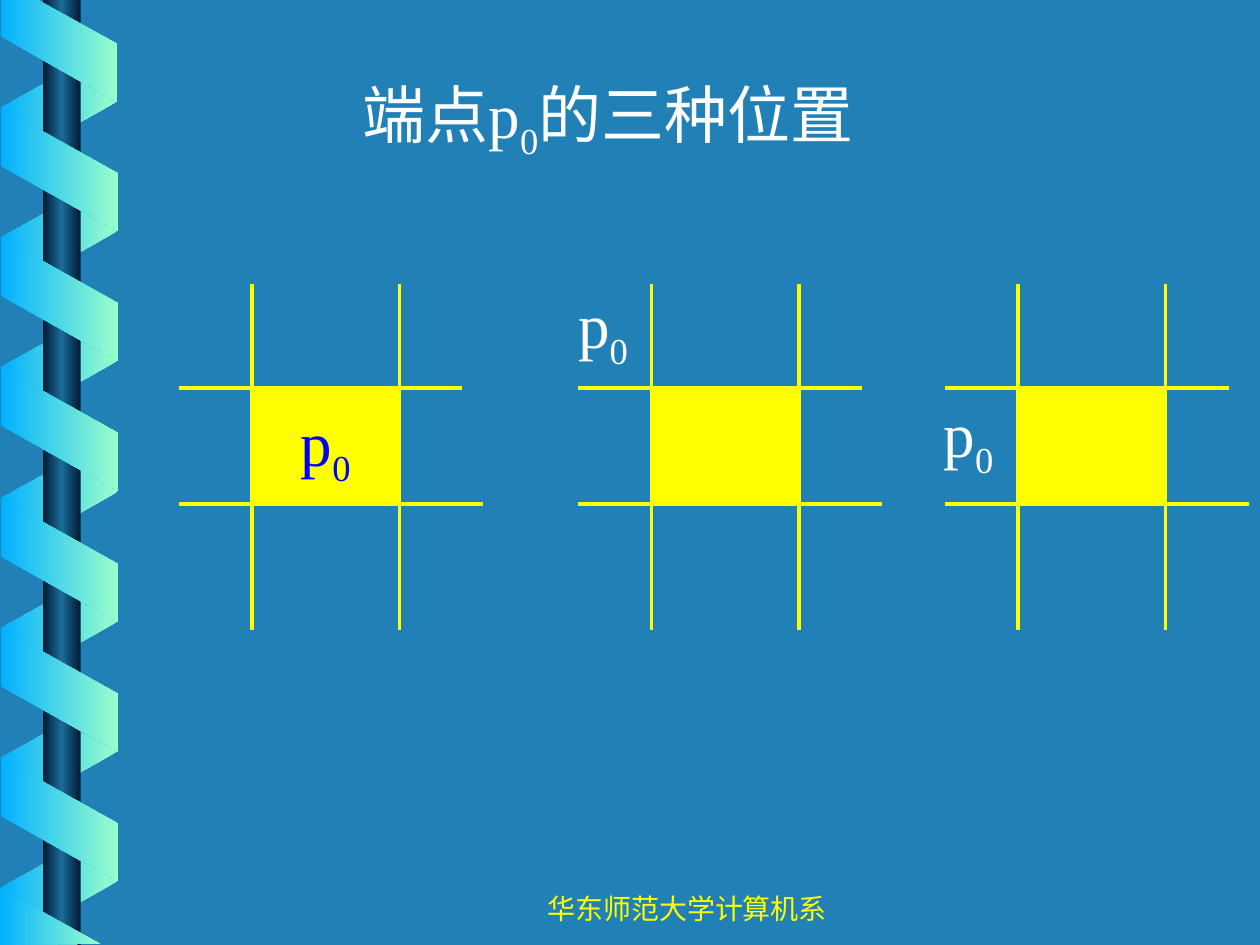
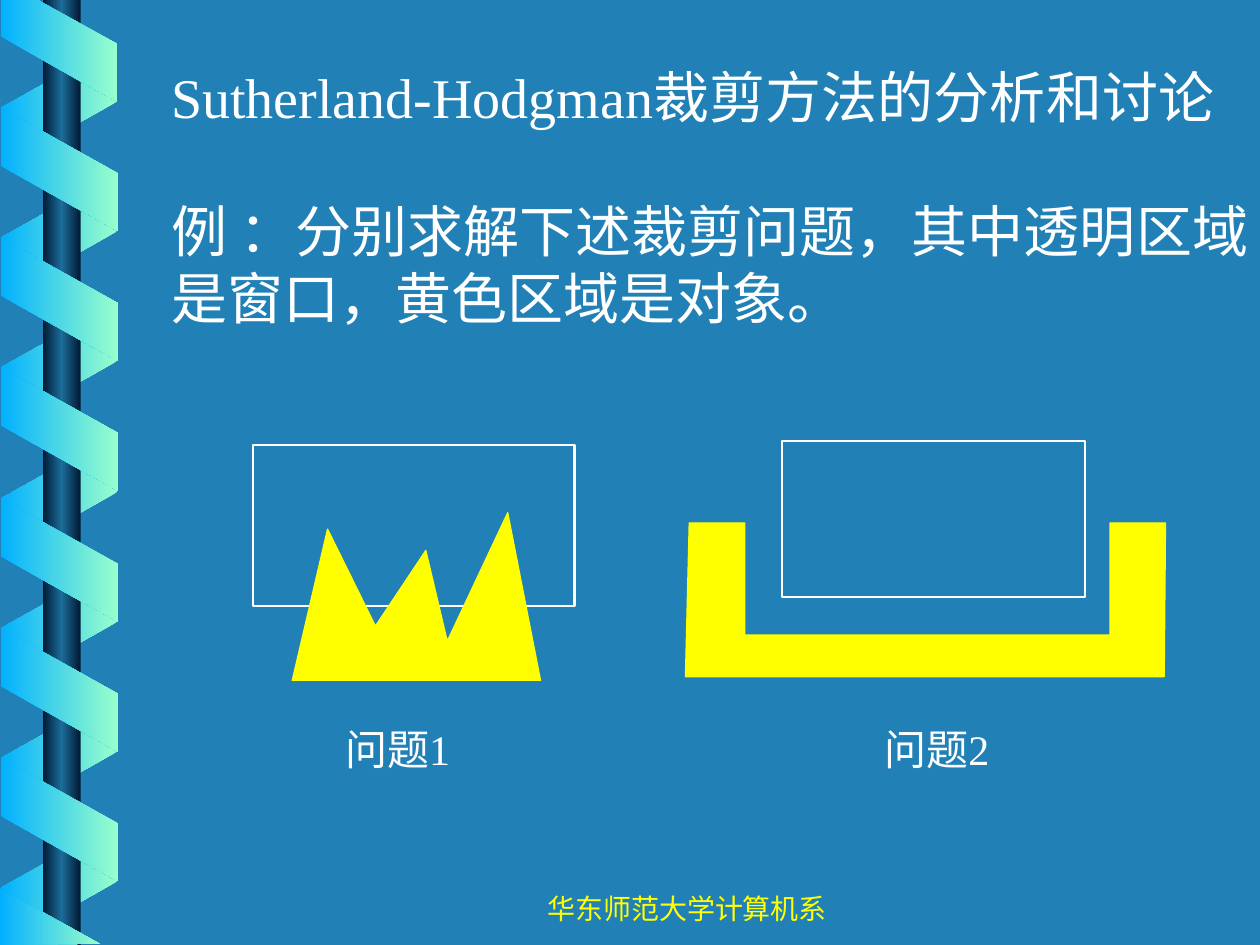
from lxml.etree import SubElement
from pptx import Presentation
from pptx.dml.color import RGBColor
from pptx.enum.shapes import MSO_CONNECTOR, MSO_SHAPE
from pptx.enum.text import MSO_ANCHOR, MSO_AUTO_SIZE, PP_ALIGN
from pptx.oxml.ns import qn
from pptx.util import Emu, Pt

PX = 9144  # EMU per px, 100 px to the inch
COLOURS = {
    "background": "2181B7",
    "white": "FFFFFF",
    "yellow": "FFFF00",
    "blue": "0000FF",
    "ribbon_blue": "01B0FF",
    "ribbon_mint": "99FFCC",
    "pole_dark": "001932",
    "pole_light": "1C6D9A",
}
LATIN = "Times New Roman"
CJK = "Noto Sans CJK SC"
SUBSCRIPT = "-25000"
P0 = ["p", "_0"]  # a leading underscore marks a subscript
RIBBON_PITCH = 103.2


def px(*lengths):
    return [Emu(round(length * PX)) for length in lengths]


def rgb(name):
    return RGBColor.from_string(COLOURS[name])


# Fills and outlines
def paint(shape, fill=None, line=None, width=0.75):
    shape.shadow.inherit = False
    if fill:
        shape.fill.solid()
        shape.fill.fore_color.rgb = rgb(fill)
    else:
        shape.fill.background()
    if line:
        shape.line.color.rgb = rgb(line)
        shape.line.width = Pt(width)
    else:
        shape.line.fill.background()


def paint_gradient(shape, *names):
    """Spread the colours evenly from left to right, whatever the rotation."""
    paint(shape)
    shape.fill.gradient()
    shape.fill.gradient_angle = 0
    gradient = shape._element.spPr.find(qn("a:gradFill"))
    gradient.set("rotWithShape", "0")
    stops = gradient.find(qn("a:gsLst"))
    for old_stop in list(stops):
        stops.remove(old_stop)
    for i, name in enumerate(names):
        stop = SubElement(stops, qn("a:gs"), pos=str(100000 * i // (len(names) - 1)))
        SubElement(stop, qn("a:srgbClr"), val=COLOURS[name])


# Kinds of element
def add_outline(shapes, points):
    builder = shapes.build_freeform(*points[0], scale=PX)
    builder.add_line_segments(points[1:], close=True)
    return builder.convert_to_shape()


def add_rectangle(slide, box, **style):
    rectangle = slide.shapes.add_shape(MSO_SHAPE.RECTANGLE, *px(*box))
    paint(rectangle, **style)
    return rectangle


def add_line(slide, *ends):
    line = slide.shapes.add_connector(MSO_CONNECTOR.STRAIGHT, *px(*ends))
    line.line.color.rgb = rgb("yellow")
    line.line.width = Pt(2)
    SubElement(line._element.spPr, qn("a:effectLst"))


def write(paragraph, parts, size, colour, latin=LATIN, align=PP_ALIGN.LEFT):
    paragraph.alignment = align
    paragraph.font.size = Pt(size)
    paragraph.font.name = latin
    paragraph.font.color.rgb = rgb(colour)
    defaults = paragraph._p.pPr.find(qn("a:defRPr"))
    SubElement(defaults, qn("a:ea"), typeface=CJK)
    for part in parts:
        run = paragraph.add_run()
        run.text = part.lstrip("_")
        if part.startswith("_"):
            run._r.get_or_add_rPr().set("baseline", SUBSCRIPT)


def add_text(slide, box, paragraphs, size, colour="white", wrap=False, **style):
    frame = slide.shapes.add_textbox(*px(*box)).text_frame
    frame.word_wrap = wrap
    frame.auto_size = MSO_AUTO_SIZE.NONE if wrap else MSO_AUTO_SIZE.SHAPE_TO_FIT_TEXT
    for i, parts in enumerate(paragraphs):
        paragraph = frame.add_paragraph() if i else frame.paragraphs[0]
        write(paragraph, parts, size, colour, **style)
    return frame


# Shared decoration
def add_strips(group, count, top, height, rotation, gradient, mirrored=False):
    for i in range(count):
        strip = group.shapes.add_shape(
            MSO_SHAPE.PARALLELOGRAM, *px(-2, round(top + RIBBON_PITCH * i), 98, height))
        strip.adjustments[0] = 0.56
        strip.rotation = rotation
        if mirrored:
            strip._element.spPr.find(qn("a:xfrm")).set("flipH", "1")
        paint_gradient(strip, *gradient)


def add_ribbon(slide):
    blue_to_mint = ("ribbon_blue", "ribbon_mint")
    behind = slide.shapes.add_group_shape()
    add_strips(behind, 7, 37, 92, 90, blue_to_mint[::-1], mirrored=True)

    pole = slide.shapes.add_shape(MSO_SHAPE.RECTANGLE, *px(34, 0, 30, 750))
    paint_gradient(pole, "pole_dark", "pole_light", "pole_dark")

    front = slide.shapes.add_group_shape()
    add_strips(front, 6, 88, 93, 270, blue_to_mint)
    top_end = [(1, 0), (1, 29), (93, 81), (93, 35), (30, 0)]
    bottom_end = [(79, 749), (0, 705), (0, 750)]
    for end in (top_end, bottom_end):
        paint_gradient(add_outline(front.shapes, end), *blue_to_mint)


def add_base_slide(deck):
    slide = deck.slides.add_slide(deck.slide_layouts[6])
    add_ribbon(slide)
    add_text(slide, (333, 703, 425, 31), [["华东师范大学计算机系"]], 16, "yellow",
             wrap=True, latin=CJK, align=PP_ALIGN.CENTER)
    return slide


# Slide 1: a window whose edges extend into a grid
def add_window_grid(slide, left):
    top, width, height = 308, 117, 92
    add_line(slide, left - 58, top, left + 167, top)
    add_line(slide, left - 58, top + height, left + 183, top + height)
    for x in (left, left + width):
        add_line(slide, x, 225, x, 500)
    return add_rectangle(slide, (left, top, width, height), fill="yellow", line="yellow")


def build_endpoint_slide(deck):
    slide = add_base_slide(deck)
    add_text(slide, (278, 55, 437, 79), [["端点p", "_0", "的三种位置"]], 36)
    inside, *_ = [add_window_grid(slide, left) for left in (200, 517, 808)]
    frame = inside.text_frame
    frame.word_wrap = False
    frame.vertical_anchor = MSO_ANCHOR.MIDDLE
    write(frame.paragraphs[0], P0, 36, "blue", align=PP_ALIGN.CENTER)
    for left, top in ((449, 222), (739, 308)):
        add_text(slide, (left, top, 63, 79), [P0], 36)


# Slide 2: two clipping problems
def build_clipping_slide(deck):
    slide = add_base_slide(deck)
    intro = add_text(slide, (126, 45, 879, 224), [
        ["Sutherland-Hodgman裁剪方法的分析和讨论"],
        ["例 ：分别求解下述裁剪问题，其中透明区域"],
        ["是窗口，黄色区域是对象。"],
    ], 32)
    intro.paragraphs[1].space_before = Pt(38)

    peaks = [(260, 420), (298, 497), (338, 437), (355, 509), (403, 407),
             (429, 540), (232, 540)]
    trough = [(547, 415), (591, 415), (591, 504), (881, 504), (881, 415),
              (925, 415), (924, 537), (544, 537)]
    problems = [
        ("问题1", 264, (201, 353, 255, 128), peaks),
        ("问题2", 692, (621, 350, 240, 124), trough),
    ]
    for label, label_left, window, subject in problems:
        add_rectangle(slide, window, line="white", width=1.25)
        paint(add_outline(slide.shapes, subject), fill="yellow", line="yellow")
        add_text(slide, (label_left, 569, 111, 50), [[label]], 24, wrap=True)


def main():
    deck = Presentation()
    deck.slide_width, deck.slide_height = px(1000, 750)
    background = deck.slide_master.background.fill
    background.solid()
    background.fore_color.rgb = rgb("background")
    build_endpoint_slide(deck)
    build_clipping_slide(deck)
    deck.save("out.pptx")


if __name__ == "__main__":
    main()
